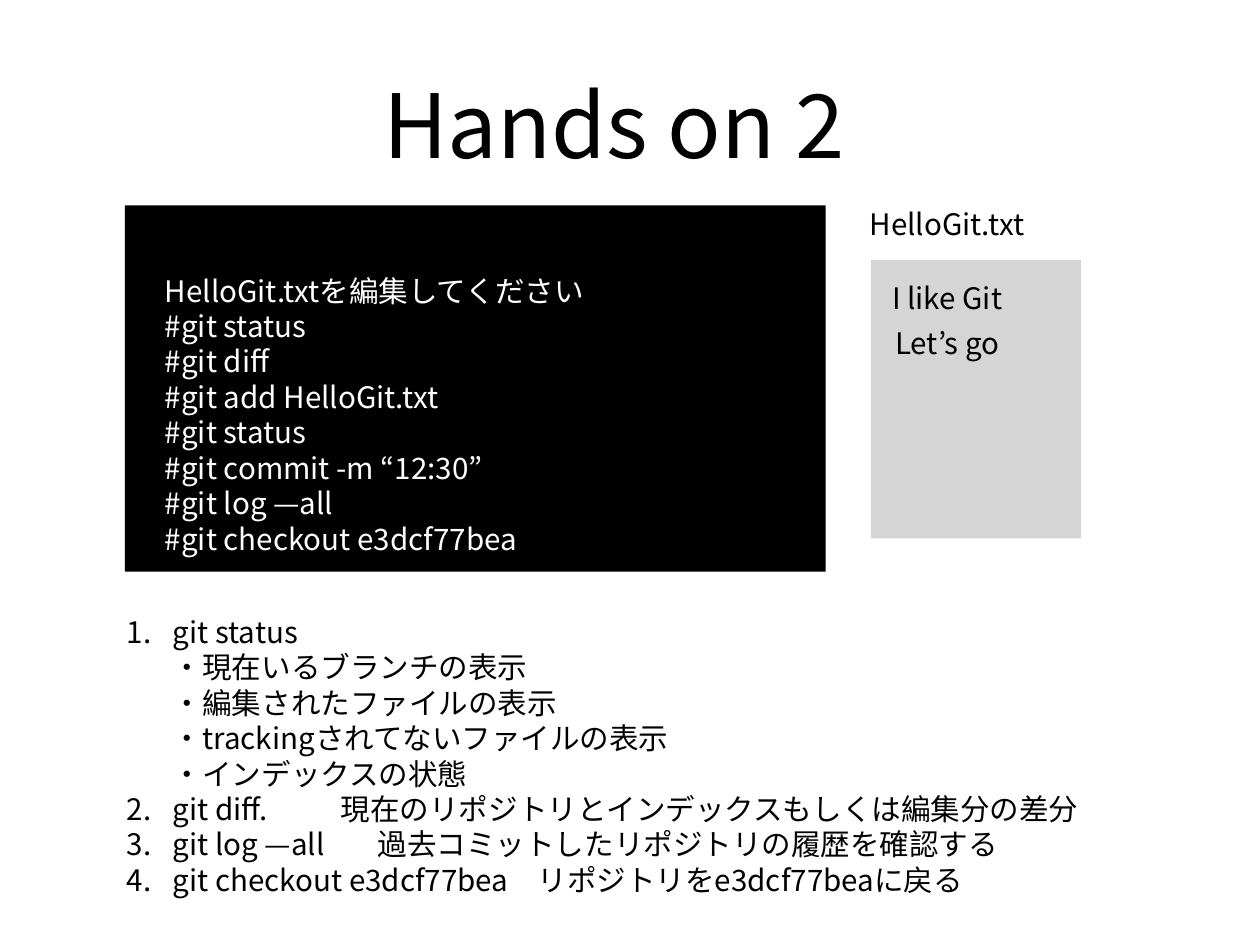
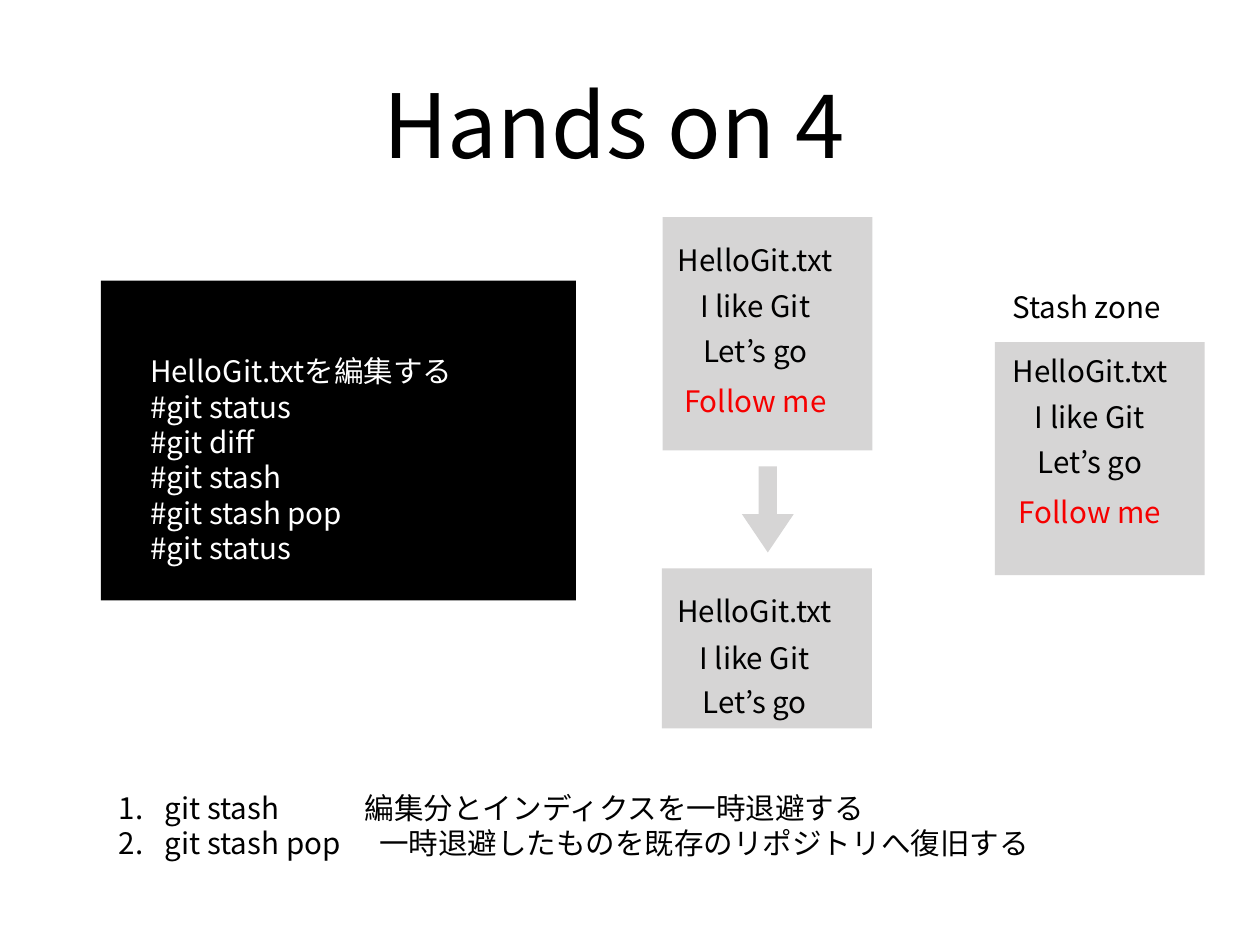
from dataclasses import dataclass

from lxml import etree
from pptx import Presentation
from pptx.dml.color import RGBColor
from pptx.enum import shapes, text
from pptx.oxml.ns import qn
from pptx.util import Pt


@dataclass(frozen=True)
class Theme:
    font: str = "Noto Sans CJK JP"
    black: str = "000000"
    white: str = "FFFFFF"
    red: str = "F60000"
    grey: str = "D6D5D5"
    title_size: float = 72
    text_size: float = 24
    title_pitch: float = 86
    text_pitch: float = 28.8
    inset: float = 4.5
    list_indent: float = 37.5


theme = Theme()
CARD_WIDTH = 170.5
FILE_NAME = ("HelloGit.txt", theme.black, 0)
FIRST_LINE = ("I like Git", theme.black, 9)
SECOND_LINE = ("Let’s go", theme.black, 7.5)
NEW_LINE = ("Follow me", theme.red, 12)

# Boxes are left, top, width, height.
# Cards are box, left and top offsets of the text, lines.
# Steps are tab position, text; a line break stays within its step.
SLIDES = [
    {
        "title": "Hands on 2",
        "terminal": (101.5, 167, 569.5, 297.5),
        "terminal_inset": (32.5, 54.5),
        "commands": [
            "HelloGit.txtを編集してください",
            "#git status",
            "#git diff",
            "#git add HelloGit.txt",
            "#git status",
            "#git commit -m “12:30”",
            "#git log —all",
            "#git checkout e3dcf77bea",
        ],
        "label": ("HelloGit.txt", (694, 166, 151, 32)),
        "cards": [((708, 211.5, CARD_WIDTH, 226), -23.5, 16, [FIRST_LINE, SECOND_LINE])],
        "arrows": [],
        "list": (98.5, 472, 826, 284),
        "steps": [
            (None, "git status\v・現在いるブランチの表示\v・編集されたファイルの表示\v"
                   "・trackingされてないファイルの表示\v・インデックスの状態"),
            (174, "git diff.\t現在のリポジトリとインデックスもしくは編集分の差分"),
            (204, "git log —all\t過去コミットしたリポジトリの履歴を確認する"),
            (334, "git checkout e3dcf77bea\tリポジトリをe3dcf77beaに戻る"),
        ],
    },
    {
        "title": "Hands on 4",
        "terminal": (82, 228, 386, 260),
        "terminal_inset": (40, 59),
        "commands": [
            "HelloGit.txtを編集する",
            "#git status",
            "#git diff",
            "#git stash",
            "#git stash pop",
            "#git status",
        ],
        "label": ("Stash zone", (807.5, 233, 151, 32)),
        "cards": [
            ((538.5, 176.5, CARD_WIDTH, 189.5), -10, 20,
             [FILE_NAME, FIRST_LINE, SECOND_LINE, NEW_LINE]),
            ((538, 462, CARD_WIDTH, 130), -10, 20, [FILE_NAME, FIRST_LINE, SECOND_LINE]),
            ((808.5, 278, CARD_WIDTH, 189.5), -8, 8.5,
             [FILE_NAME, FIRST_LINE, SECOND_LINE, NEW_LINE]),
        ],
        "arrows": [(603, 379, 42, 70)],
        "list": (92, 636.5, 840, 68),
        "steps": [
            (200, "git stash\t編集分とインディクスを一時退避する"),
            (211.5, "git stash pop\t一時退避したものを既存のリポジトリへ復旧する"),
        ],
    },
]


def add_block(page, kind, box, fill):
    block = page.shapes.add_shape(kind, *map(Pt, box))
    block.shadow.inherit = False
    block.fill.solid()
    block.fill.fore_color.rgb = RGBColor.from_string(fill)
    block.line.fill.background()
    return block


def write(frame, lines, align, anchor, margins=(theme.inset,) * 4,
          size=theme.text_size, pitch=theme.text_pitch):
    """Fill the frame with (text, colour, space before) lines; margins run left, top, right, bottom."""
    frame.auto_size = text.MSO_AUTO_SIZE.NONE
    frame.word_wrap = True
    frame.vertical_anchor = anchor
    frame.margin_left, frame.margin_top, frame.margin_right, frame.margin_bottom = map(Pt, margins)
    for index, (words, colour, space) in enumerate(lines):
        para = frame.add_paragraph() if index else frame.paragraphs[0]
        para.alignment = align
        para.line_spacing = Pt(pitch)
        para.space_before = Pt(space if index else 0)
        for part, piece in enumerate(words.split("\v")):
            if part:
                para.add_line_break()
            span = para.add_run()
            span.text = piece
            span.font.size = Pt(size)
            span.font.name = theme.font
            span.font.color.rgb = RGBColor.from_string(colour)
            east_asian = etree.SubElement(span.font._element, qn("a:ea"))
            east_asian.set("typeface", theme.font)


LEFT, CENTER = text.PP_ALIGN.LEFT, text.PP_ALIGN.CENTER
TOP, MIDDLE, BOTTOM = text.MSO_ANCHOR.TOP, text.MSO_ANCHOR.MIDDLE, text.MSO_ANCHOR.BOTTOM
RECTANGLE = shapes.MSO_SHAPE.RECTANGLE

deck = Presentation()
deck.slide_width, deck.slide_height = Pt(1024), Pt(768)

for content in SLIDES:
    page = deck.slides.add_slide(deck.slide_layouts[1])

    title = page.shapes.title
    title.left, title.top, title.width, title.height = map(Pt, (87, 42, 824, 101))
    write(title.text_frame, [(content["title"], theme.black, 0)], CENTER, BOTTOM,
          (theme.inset, 0, theme.inset, 0), theme.title_size, theme.title_pitch)

    terminal = add_block(page, RECTANGLE, content["terminal"], theme.black)
    write(terminal.text_frame, [(command, theme.white, 0) for command in content["commands"]],
          LEFT, TOP, (*content["terminal_inset"], 0, 0))

    for box, shift, top, lines in content["cards"]:
        card = add_block(page, RECTANGLE, box, theme.grey)
        write(card.text_frame, lines, CENTER, TOP, (0, top, -2 * shift, 0))

    for box in content["arrows"]:
        arrow = add_block(page, shapes.MSO_SHAPE.DOWN_ARROW, box, theme.grey)
        arrow.adjustments[0], arrow.adjustments[1] = 0.35, 0.74

    label, box = content["label"]
    label_box = page.shapes.add_textbox(*map(Pt, box))
    write(label_box.text_frame, [(label, theme.black, 0)], CENTER, MIDDLE)

    steps = page.placeholders[1]
    steps.left, steps.top, steps.width, steps.height = map(Pt, content["list"])
    write(steps.text_frame, [(words, theme.black, 0) for _, words in content["steps"]],
          LEFT, MIDDLE)
    for para, (tab, _) in zip(steps.text_frame.paragraphs, content["steps"]):
        properties = para._p.get_or_add_pPr()
        properties.set("marL", str(Pt(theme.list_indent)))
        properties.set("indent", str(-Pt(theme.list_indent)))
        etree.SubElement(properties, qn("a:buFont"), typeface=theme.font)
        etree.SubElement(properties, qn("a:buAutoNum"), type="arabicPeriod")
        if tab:
            tabs = etree.SubElement(properties, qn("a:tabLst"))
            etree.SubElement(tabs, qn("a:tab"), pos=str(Pt(tab)), algn="l")

deck.save("out.pptx")
